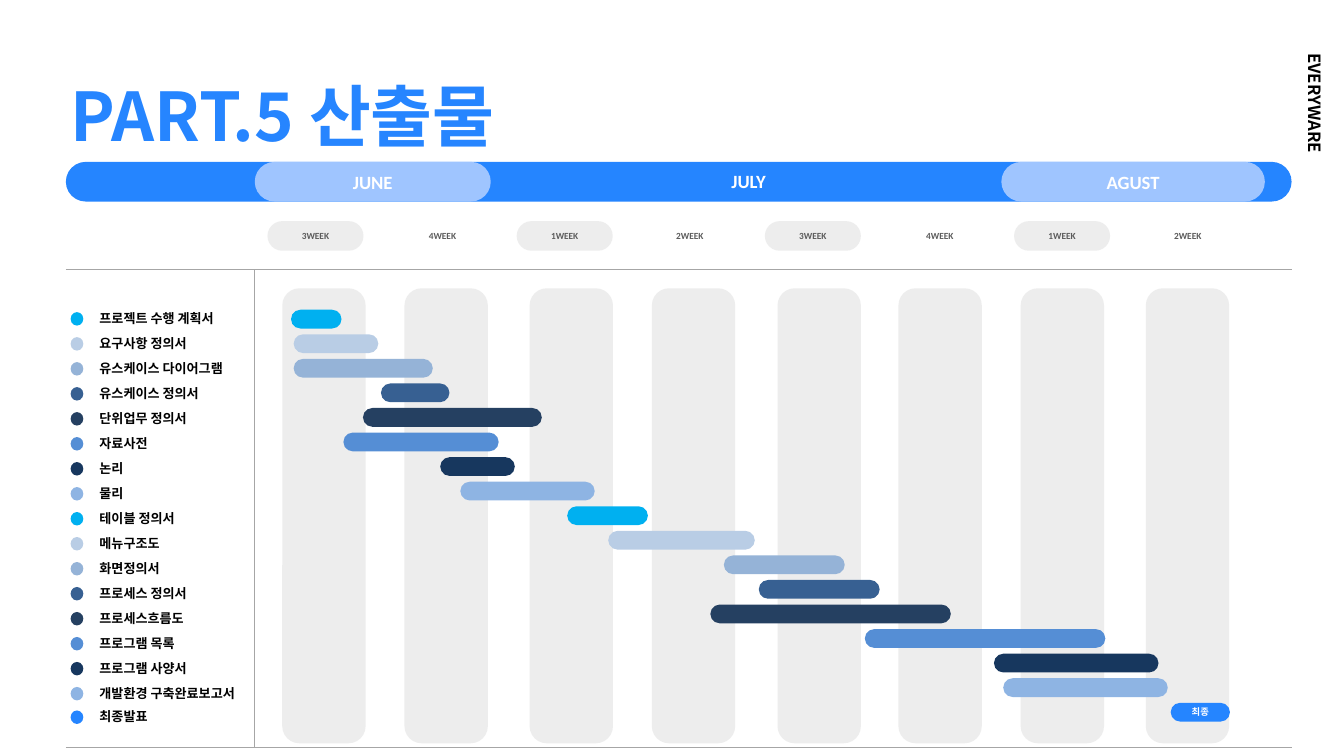
from lxml import etree
from pptx import Presentation
from pptx import util as u
from pptx.dml.color import RGBColor
from pptx.enum import shapes, text
from pptx.oxml import ns

BLUE, LIGHT_BLUE, GRAY, WHITE = "2585FF", "9FC5FF", "DCDCDC", "FFFFFF"
TASK_COLORS = ["00B0F0", "B9CDE5", "95B3D7", "376092",
               "254061", "558ED5", "17375E", "8EB4E3"]

# Week, left edge of its label and of the column below it, in cm
WEEKS = [("3WEEK", 10.11, 10.67), ("4WEEK", 14.91, 15.29),
         ("1WEEK", 19.53, 20.02), ("2WEEK", 24.26, 24.64),
         ("3WEEK", 28.91, 29.39), ("4WEEK", 33.71, 33.96),
         ("1WEEK", 38.33, 38.58), ("2WEEK", 43.08, 43.31)]

# Task, bar start and bar length, in cm
TASKS = [("프로젝트 수행 계획서", 11, 1.91), ("요구사항 정의서", 11.1, 3.2),
         ("유스케이스 다이어그램", 11.1, 5.26), ("유스케이스 정의서", 14.4, 2.59),
         ("단위업무 정의서", 13.72, 6.76), ("자료사전", 12.98, 5.87),
         ("논리", 16.64, 2.82), ("물리", 17.4, 5.08),
         ("테이블 정의서", 21.44, 3.05), ("메뉴구조도", 22.99, 5.54),
         ("화면정의서", 27.36, 4.57), ("프로세스 정의서", 28.68, 4.57),
         ("프로세스흐름도", 26.85, 9.09), ("프로그램 목록", 32.69, 9.09),
         ("프로그램 사양서", 37.57, 6.22), ("개발환경 구축완료보고서", 37.92, 6.22)]
FINAL = ("최종발표", 44.25, 2.24)


def color(value):
    return RGBColor.from_string(value)


def cm(*values):
    return [u.Cm(v) for v in values]


def write(tf, content, size=14, font="Calibri", ink="000000", center=False):
    p = tf.paragraphs[0]
    p.alignment = text.PP_ALIGN.CENTER if center else text.PP_ALIGN.LEFT
    r = p.add_run()
    r.text = content
    r.font.size, r.font.bold, r.font.name = u.Pt(size), True, font
    r.font.color.rgb = color(ink)
    ea = etree.SubElement(r.font._element, ns.qn("a:ea"))
    ea.set("typeface", Board.title_font)


class Board:
    """Drawing style and current slide."""
    title_font = "Noto Sans CJK KR"
    line_color = "A6A6A6"

    def __init__(self, s):
        self.s = s

    def group(self):
        return self.s.shapes.add_group_shape().shapes

    def shape(self, kind, box, fill=None, alpha=None, into=None):
        sp = (self.s.shapes if into is None else into).add_shape(kind, *cm(*box))
        sp.shadow.inherit = False
        sp.line.fill.background()
        if fill is None:
            sp.fill.background()
            return sp
        sp.fill.solid()
        sp.fill.fore_color.rgb = color(fill)
        if alpha:
            clr = sp._element.spPr.find(".//" + ns.qn("a:srgbClr"))
            etree.SubElement(clr, ns.qn("a:alpha")).set("val", str(alpha * 1000))
        return sp

    def pill(self, box, fill=None, label="", radius=0.5, alpha=None, into=None, **fmt):
        sp = self.shape(shapes.MSO_SHAPE.ROUNDED_RECTANGLE, box, fill, alpha, into)
        sp.adjustments[0] = radius
        if label:
            sp.text_frame.vertical_anchor = text.MSO_ANCHOR.MIDDLE
            write(sp.text_frame, label, center=True, **fmt)

    def dot(self, box, fill):
        self.shape(shapes.MSO_SHAPE.OVAL, box, fill)

    def label(self, box, content, rotation=0, wrap=True, **fmt):
        sp = self.s.shapes.add_textbox(*cm(*box))
        sp.rotation = rotation
        tf = sp.text_frame
        tf.word_wrap = wrap
        tf.auto_size = text.MSO_AUTO_SIZE.SHAPE_TO_FIT_TEXT
        write(tf, content, **fmt)

    def line(self, *ends):
        c = self.s.shapes.add_connector(shapes.MSO_CONNECTOR.STRAIGHT, *cm(*ends))
        c.line.color.rgb = color(self.line_color)
        c.line.width = u.Pt(0.75)
        etree.SubElement(c._element.spPr, ns.qn("a:effectLst"))


def main():
    prs = Presentation()
    prs.slide_width, prs.slide_height = cm(50.8, 28.58)
    board = Board(prs.slides.add_slide(prs.slide_layouts[6]))
    left, right, chart_left, chart_top, bottom = 2.49, 48.82, 9.63, 10.19, 28.27

    # Title and side name
    board.label((2.41, 2.69, 26.47, 3.33), "PART.5 산출물", size=72,
                font=board.title_font, ink="2685FF")
    board.label((47.55, 3.4, 4.29, 1.02), "EVERYWARE", rotation=90, wrap=False,
                size=18, font=board.title_font)

    # Month band
    band_top, band_height = 6.12, 1.5
    board.pill((left, band_top, right - left, band_height), BLUE)
    for month, x, width in [("JUNE", chart_left, 8.92), ("AGUST", 37.85, 9.96)]:
        board.pill((x, band_top, width, band_height), LIGHT_BLUE, month,
                   size=20, ink=WHITE)
    board.label((26.34, 6.3, 3.91, 1.7), "JULY", size=20, ink=WHITE, center=True)

    # Frame lines
    board.line(left, chart_top, right, chart_top)
    board.line(chart_left, chart_top, chart_left, bottom)
    board.line(left, bottom, right, bottom)

    # Weeks: every second label is shaded, every column is
    columns = board.group()
    for i, (week, label_x, column_x) in enumerate(WEEKS):
        board.pill((label_x, 8.36, 3.63, 1.12), None if i % 2 else GRAY, week,
                   alpha=50, size=10, ink="5C5C5C")
        board.pill((column_x, 10.9, 3.15, 17.2), GRAY, radius=0.205, alpha=50,
                   into=columns)

    # Tasks: dot, name and bar; the closing row sits a little tighter
    bars = board.group()
    for i, (task, start, length) in enumerate(TASKS + [FINAL]):
        final = i == len(TASKS)
        fill = BLUE if final else TASK_COLORS[i % len(TASK_COLORS)]
        name_top = 26.67 if final else 11.61 + i * 14.17 / 15
        board.dot((2.67, name_top + 0.19, 0.48, 0.51), fill)
        board.label((3.51, name_top, 10.57, 0.86), task)
        board.pill((start, 11.71 + i * 14.86 / 16, length, 0.71), fill,
                   "최종" if final else "", into=bars, size=10, ink=WHITE)

    prs.save("out.pptx")


if __name__ == "__main__":
    main()
